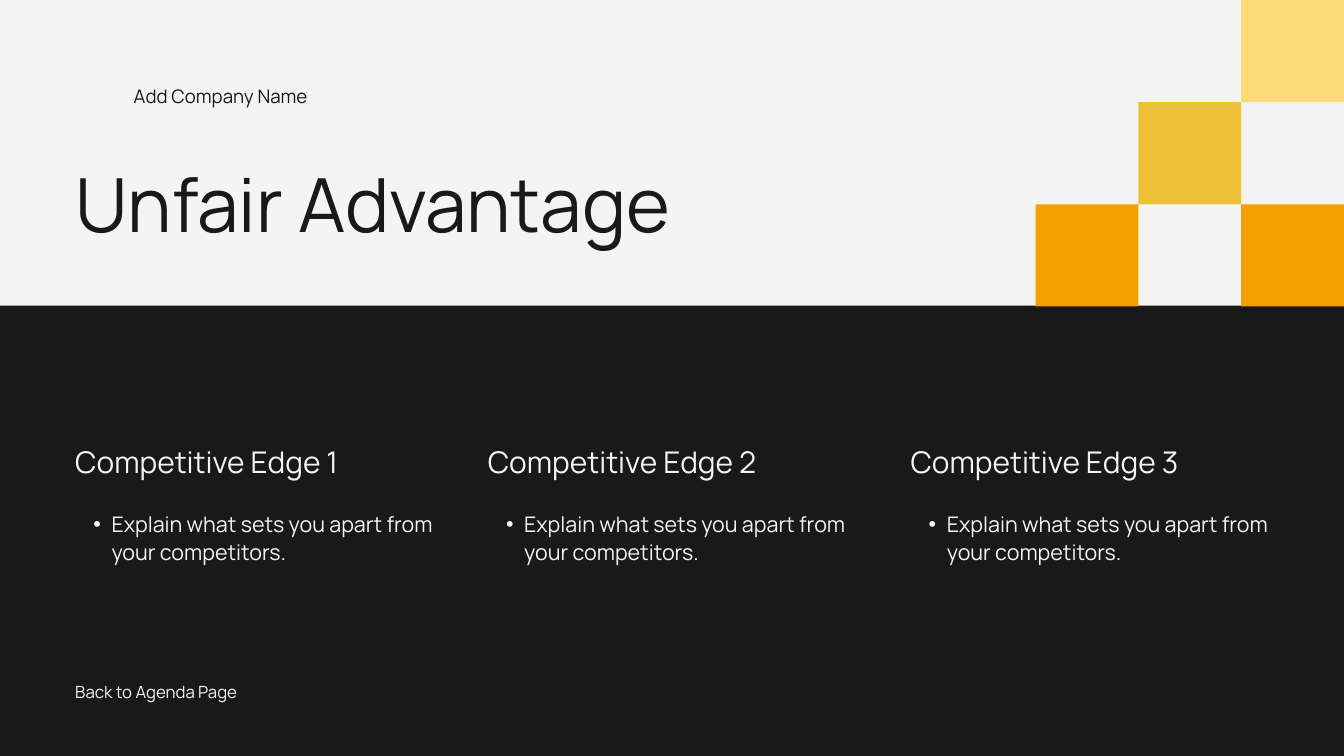
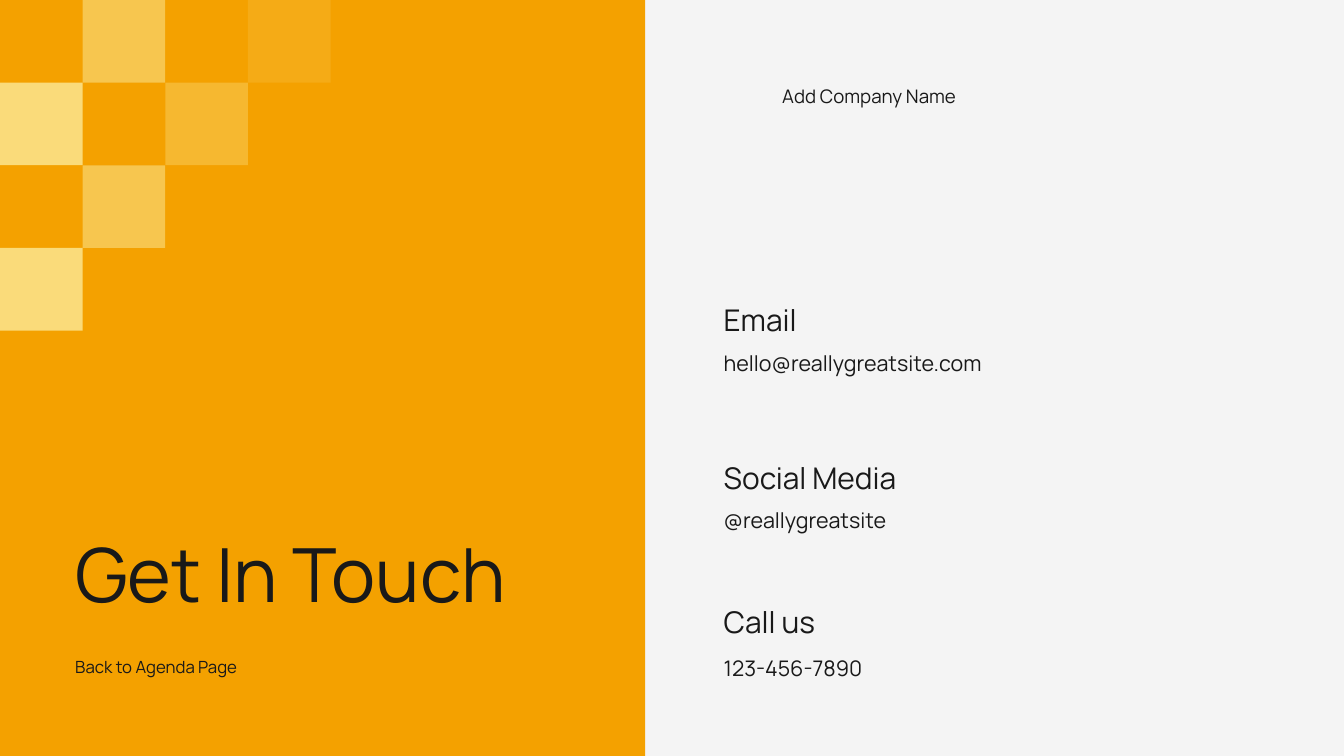
import pptx
import pptx.dml.color
import pptx.enum.shapes
import pptx.enum.text
import pptx.util
from lxml import etree
from pptx.oxml.ns import qn

WIDTH, HEIGHT = 20, 11.25
MARGIN = 1.12
FONT = "Manrope"
INK, PAPER = "191919", "F4F4F4"
ORANGE, GOLD, CREAM = "F4A100", "EFC136", "FADB7A"

# Text styles: size in points, line spacing as a multiple of the size
STYLES = {
    "title": (80, 1.2),
    "heading": (32, 1.3),
    "body": (23, 1.3),
    "company": (20, 1.4),
    "back link": (18, 1.4),
}

inches = pptx.util.Inches
colour = pptx.dml.color.RGBColor.from_string


def add_block(slide, left, top, width, height, fill, opacity=100):
    block = slide.shapes.add_shape(
        pptx.enum.shapes.MSO_SHAPE.RECTANGLE,
        inches(left), inches(top), inches(width), inches(height))
    block.shadow.inherit = False
    block.line.fill.background()
    block.fill.solid()
    block.fill.fore_color.rgb = colour(fill)
    if opacity < 100:
        tint = block.fill._xPr.find(".//" + qn("a:srgbClr"))
        etree.SubElement(tint, qn("a:alpha"), val=str(opacity * 1000))


def add_text(slide, text, style, ink, left, top, width, height, bullet=False):
    size, spacing = STYLES[style]
    place = [inches(length) for length in (left, top, width, height)]
    if style == "title":
        box = slide.shapes.title
        box.left, box.top, box.width, box.height = place
        slide.shapes._spTree.append(box._element)  # bring in front of the blocks
    else:
        box = slide.shapes.add_textbox(*place)
    frame = box.text_frame
    frame.margin_left = frame.margin_right = frame.margin_top = frame.margin_bottom = 0
    frame.word_wrap = True
    frame.vertical_anchor = pptx.enum.text.MSO_ANCHOR.TOP
    frame.auto_size = pptx.enum.text.MSO_AUTO_SIZE.SHAPE_TO_FIT_TEXT
    paragraph = frame.paragraphs[0]
    paragraph.line_spacing = pptx.util.Pt(size * spacing)
    align = pptx.enum.text.PP_ALIGN
    paragraph.alignment = align.JUSTIFY if style == "back link" else align.LEFT
    if bullet:
        paragraph.level = 1
        properties = paragraph._p.get_or_add_pPr()
        properties.set("marL", str(inches(0.54)))
        properties.set("indent", str(inches(-0.27)))
        etree.SubElement(properties, qn("a:buFont"), typeface="Arial")
        etree.SubElement(properties, qn("a:buChar"), char="•")
    run = paragraph.add_run()
    run.text = text
    run.font.name = FONT
    run.font.size = pptx.util.Pt(size)
    run.font.color.rgb = colour(ink)


deck = pptx.Presentation()
deck.slide_width, deck.slide_height = inches(WIDTH), inches(HEIGHT)
title_only = deck.slide_layouts[5]
advantage, contact = [deck.slides.add_slide(title_only) for _ in range(2)]

# Backgrounds, and what both slides carry
for slide, background, title, title_top, title_width, link_ink, link_top, company_left in (
    (advantage, INK, "Unfair Advantage", 2.35, 11.93, PAPER, 10.1, 1.99),
    (contact, PAPER, "Get In Touch", 7.85, 7.56, INK, 9.73, 11.64),
):
    slide.background.fill.solid()
    slide.background.fill.fore_color.rgb = colour(background)
    if slide is advantage:
        add_block(slide, 0, 0, WIDTH, 4.55, PAPER)
    else:
        add_block(slide, 0, 0, WIDTH * 0.48, HEIGHT, ORANGE)
    add_text(slide, title, "title", INK, MARGIN, title_top, title_width, 1.43)
    add_text(slide, "Back to Agenda Page", "back link", link_ink, MARGIN, link_top, 4.86, 0.36)
    add_text(slide, "Add Company Name", "company", INK, company_left, 1.2, 2.99, 0.39)

# Unfair Advantage: checker tiles, columns counted from the right edge
TILE_W, TILE_H = 1.53, 1.52
for column, row, fill in ((1, 0, CREAM), (2, 1, GOLD), (3, 2, ORANGE), (1, 2, ORANGE)):
    add_block(advantage, WIDTH - column * TILE_W, row * TILE_H, TILE_W, TILE_H, fill)

# Unfair Advantage: three competitive edges
for number, (left, width) in enumerate(((MARGIN, 5.63), (7.26, 5.48), (13.55, 5.59)), 1):
    add_text(advantage, f"Competitive Edge {number}", "heading", PAPER, left, 6.56, width, 0.58)
    add_text(advantage, "Explain what sets you apart from your competitors.", "body", PAPER,
             left, 7.58, width, 0.8, bullet=True)

# Get In Touch: checker tiles fading to the right
TILE = 1.23
OPACITY = (100, 65, 40, 19)
for column, row in ((0, 3), (1, 2), (2, 1), (3, 0), (1, 0), (0, 1)):
    add_block(contact, column * TILE, row * TILE, TILE, TILE, CREAM, OPACITY[column])

# Get In Touch: ways to reach us
for label, label_top, detail, detail_top in (
    ("Email", 4.44, "hello@reallygreatsite.com", 5.17),
    ("Social Media", 6.8, "@reallygreatsite", 7.51),
    ("Call us", 8.94, "123-456-7890", 9.72),
):
    add_text(contact, label, "heading", INK, 10.77, label_top, 8.1, 0.59)
    add_text(contact, detail, "body", INK, 10.77, detail_top, 8.1, 0.41)

deck.save("out.pptx")
